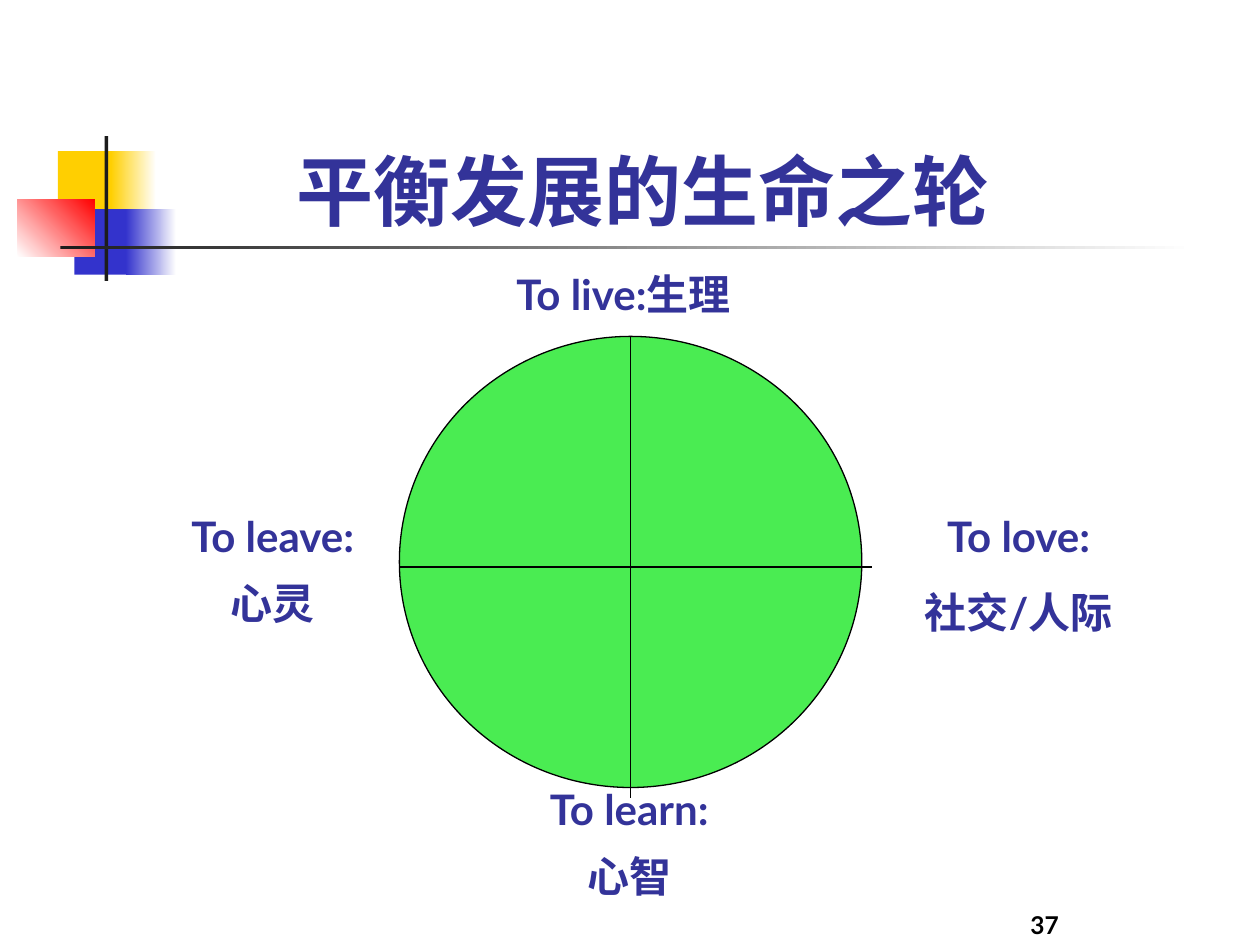
from lxml.etree import SubElement
from pptx import Presentation
from pptx.dml.color import RGBColor
from pptx.enum.shapes import MSO_CONNECTOR as CONNECTOR, MSO_SHAPE as SHAPE
from pptx.enum.text import MSO_ANCHOR as ANCHOR, MSO_AUTO_SIZE as AUTO_SIZE, PP_ALIGN as ALIGN
from pptx.oxml.ns import qn
from pptx.util import Inches, Pt

YELLOW = RGBColor(0xFF, 0xCF, 0x01)
BLUE = RGBColor(0x33, 0x33, 0xCC)
RED = RGBColor(0xFF, 0x00, 0x00)
DARK = RGBColor(0x1C, 0x1C, 0x1C)
INDIGO = RGBColor(0x33, 0x33, 0x99)
GREEN = RGBColor(0x4A, 0xEC, 0x52)
WHITE = RGBColor(0xFF, 0xFF, 0xFF)
BLACK = RGBColor(0x00, 0x00, 0x00)

LATIN, CHINESE = "Lato", "Noto Sans CJK SC"
LABEL = {"size": Pt(24), "bold": True, "name": LATIN}
TITLE = {"size": Pt(44), "bold": True, "name": CHINESE}
NUMBER = {"size": Pt(14), "bold": True, "name": LATIN}


def inches(*lengths):
    return [Inches(length) for length in lengths]


def write(para, text, font_format, color):
    span = para.add_run()
    span.text = text
    for name, value in font_format.items():
        setattr(span.font, name, value)
    span.font.color.rgb = color
    SubElement(span.font._element, qn("a:ea"), typeface=CHINESE)


def add_block(page, box, start, end=None, angle=0):
    block = page.shapes.add_shape(SHAPE.RECTANGLE, *inches(*box))
    block.shadow.inherit = False
    block.line.fill.background()
    if end is None:
        block.fill.solid()
        block.fill.fore_color.rgb = start
        return
    block.fill.gradient()
    block.fill.gradient_angle = angle
    for stop, color, position in zip(block.fill.gradient_stops, (start, end), (0, 1)):
        stop.color.rgb = color
        stop.position = position


def add_emblem(page, left, top):
    for dx, dy, width, height, *paint in (
        (0.32, 0.12, 0.48, 0.52, YELLOW),
        (0.74, 0.12, 0.36, 0.52, YELLOW, WHITE),
        (0.45, 0.58, 0.46, 0.52, BLUE),
        (0.86, 0.58, 0.4, 0.52, BLUE, WHITE),
        (0, 0.5, 0.61, 0.46, WHITE, RED, 45),
        (0.69, 0, 0.03, 1.15, DARK),
        (0.34, 0.87, 9, 0.03, DARK, WHITE),
    ):
        add_block(page, (left + dx, top + dy, width, height), *paint)


def add_title(page, box, text):
    title = page.shapes.title
    title.left, title.top, title.width, title.height = inches(*box)
    title.text_frame.vertical_anchor = ANCHOR.BOTTOM
    para = title.text_frame.paragraphs[0]
    para.alignment = ALIGN.LEFT
    write(para, text, TITLE, INDIGO)


def add_label(page, box, lines, align=ALIGN.CENTER, spacing=1.0, font_format=LABEL, color=INDIGO):
    frame = page.shapes.add_textbox(*inches(*box)).text_frame
    frame.word_wrap = True
    frame.auto_size = AUTO_SIZE.SHAPE_TO_FIT_TEXT
    for index, line in enumerate(lines):
        para = frame.add_paragraph() if index else frame.paragraphs[0]
        para.alignment = align
        para.line_spacing = spacing
        if index:
            para.space_before = Pt(15)
        write(para, line, font_format, color)


def add_axis(page, *ends):
    axis = page.shapes.add_connector(CONNECTOR.STRAIGHT, *inches(*ends))
    axis.line.color.rgb = BLACK
    axis.line.width = Pt(0.75)
    SubElement(axis._element.spPr, qn("a:effectLst"))


def add_wheel(page, left, top, width, height):
    wheel = page.shapes.add_shape(SHAPE.OVAL, *inches(left, top, width, height))
    wheel.shadow.inherit = False
    wheel.fill.solid()
    wheel.fill.fore_color.rgb = GREEN
    wheel.line.color.rgb = BLACK
    wheel.line.width = Pt(0.75)
    overhang = 0.08
    middle_x, middle_y = left + width / 2, top + height / 2 + overhang / 2
    add_axis(page, middle_x, top, middle_x, top + height + overhang)
    add_axis(page, left, middle_y, left + width + overhang, middle_y)


def main():
    deck = Presentation()
    deck.slide_width, deck.slide_height = inches(10, 7.5)
    page = deck.slides.add_slide(deck.slide_layouts[5])
    add_emblem(page, 0.14, 1.08)
    add_title(page, (2.25, 0.67, 6.08, 1.25), "平衡发展的生命之轮")
    add_wheel(page, 3.17, 2.67, 3.67, 3.58)
    add_label(page, (4, 2.08, 2.17, 0.5), ["To live:生理"], ALIGN.LEFT)
    add_label(page, (7, 4, 2.17, 1.11), ["To love:", "社交/人际"])
    add_label(page, (4.08, 6.25, 1.83, 0.95), ["To learn:", "心智"], spacing=0.8)
    add_label(page, (1.25, 4.08, 1.83, 0.95), ["To leave:", "心灵"], spacing=0.8)
    add_label(page, (8.08, 7.17, 1.5, 0.39), ["37"], ALIGN.LEFT, font_format=NUMBER, color=BLACK)
    deck.save("out.pptx")


if __name__ == "__main__":
    main()
